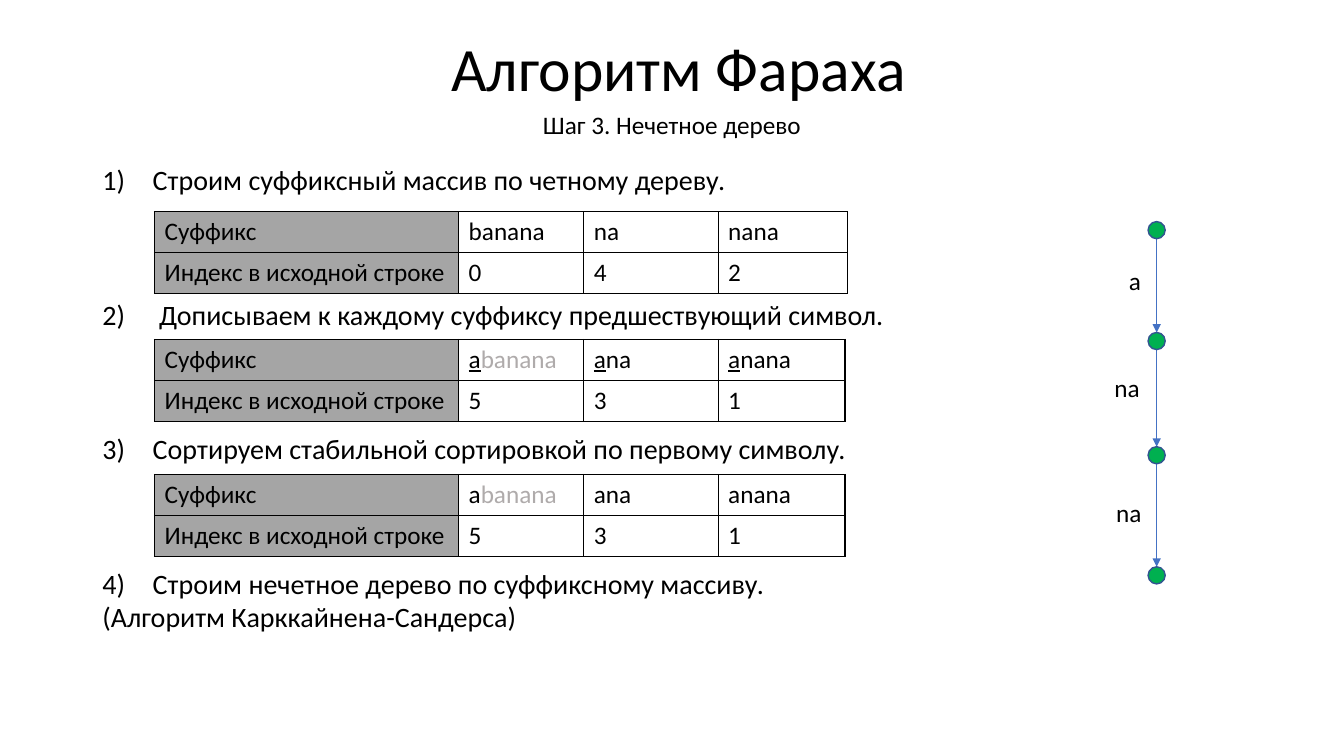
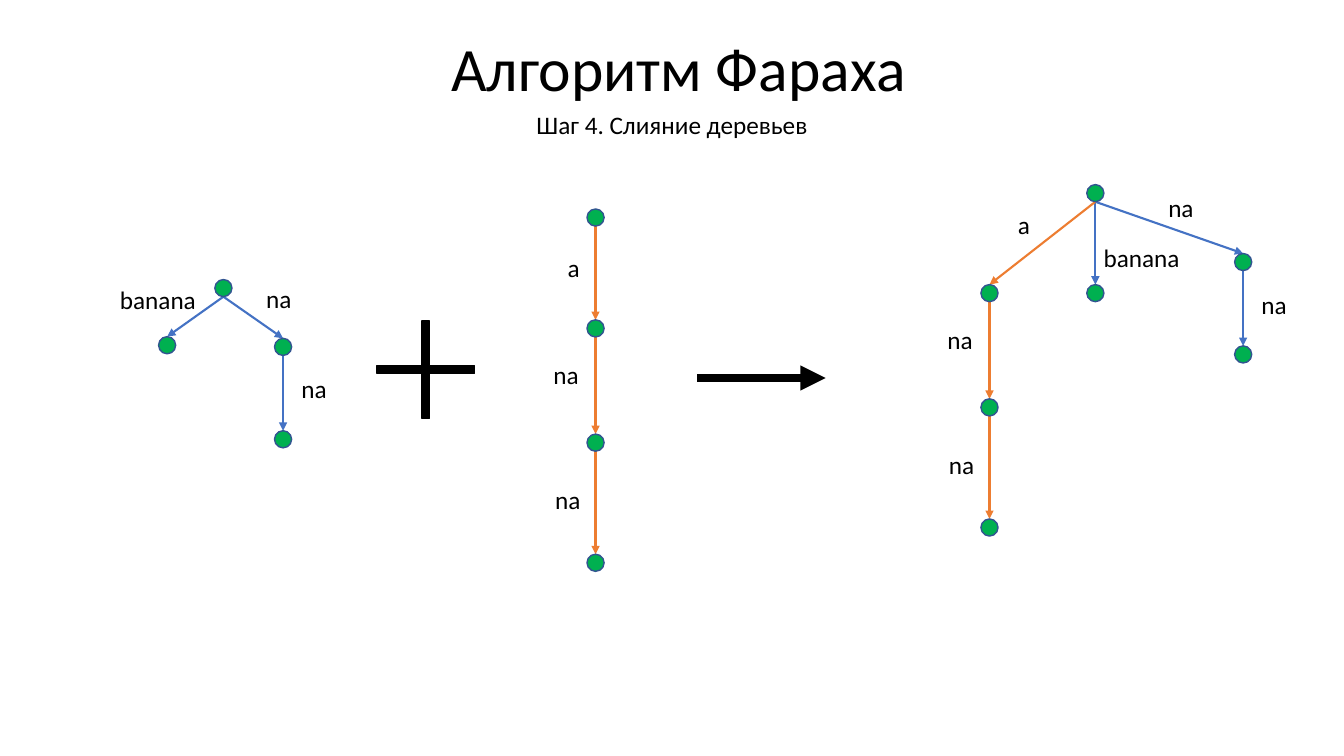
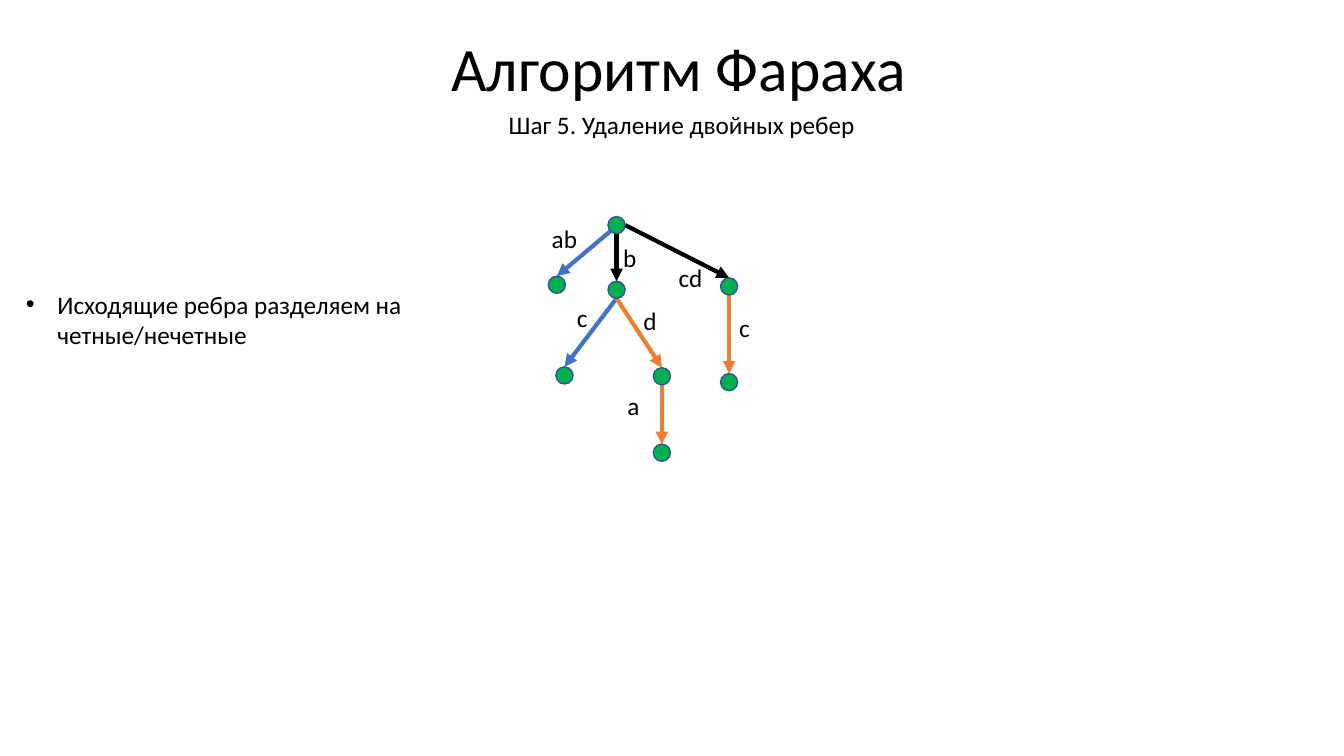
import dataclasses

import lxml.etree
import pptx
import pptx.dml.color
import pptx.enum.shapes
import pptx.enum.text
import pptx.oxml.ns
import pptx.util

RGBColor = pptx.dml.color.RGBColor
BLACK = RGBColor(0x00, 0x00, 0x00)
WHITE = RGBColor(0xFF, 0xFF, 0xFF)
HEADER_GREY = RGBColor(0xA5, 0xA5, 0xA5)
FADED_GREY = RGBColor(0xAF, 0xAB, 0xAB)
NODE_GREEN = RGBColor(0x00, 0xB0, 0x50)
NODE_OUTLINE = RGBColor(0x32, 0x54, 0x91)
EVEN_BLUE = RGBColor(0x44, 0x72, 0xC4)
ODD_ORANGE = RGBColor(0xED, 0x7D, 0x31)

# Direction from a node's centre to the point where an edge leaves it
BOTTOM, RIGHT, LOWER_LEFT = (0, 1), (1, 0), (-0.7, 0.7)
LABEL_COLUMNS = {1: 3.5, 2: 6.7, 6: 11.5}


@dataclasses.dataclass
class Run:
    """A stretch of text with one look."""
    text: str
    colour: RGBColor = BLACK
    underline: bool = False


@dataclasses.dataclass
class Branch:
    """An edge of a suffix tree; the child is named by the letters read so far."""
    parent: str
    text: str
    step: tuple
    label_offset: tuple
    colour: RGBColor = EVEN_BLUE
    leaves: tuple = BOTTOM


class Deck:
    """The shared style and the current slide, on a grid of 160 by 90 squares."""

    TITLE = " Алгоритм Фараха"
    FONT = "Calibri"
    COLUMNS, ROWS = 160, 90
    NODE = 2.04

    def __init__(self):
        """Start an empty wide presentation."""
        self.presentation = pptx.Presentation()
        self.presentation.slide_width = pptx.util.Inches(13.33)
        self.presentation.slide_height = pptx.util.Inches(7.5)
        self.slide = None

    def x(self, columns):
        """Turn grid columns into a length."""
        return round(self.presentation.slide_width * columns / self.COLUMNS)

    def y(self, rows):
        """Turn grid rows into a length."""
        return round(self.presentation.slide_height * rows / self.ROWS)

    def box(self, column, row, width, height):
        """Turn a grid rectangle into left, top, width and height."""
        return self.x(column), self.y(row), self.x(width), self.y(height)

    def add_runs(self, paragraph, runs, size=18):
        """Add runs to a paragraph."""
        for part in runs:
            run = paragraph.add_run()
            run.text = part.text
            run.font.name = self.FONT
            run.font.size = pptx.util.Pt(size)
            run.font.color.rgb = part.colour
            run.font.underline = part.underline

    def start_slide(self, subtitle, column=58.5, width=43):
        """Open a slide with the shared title and its own subtitle."""
        self.slide = self.presentation.slides.add_slide(
            self.presentation.slide_layouts.get_by_name("Title Only"))
        title = self.slide.shapes.title
        title.left, title.top, title.width, title.height = self.box(11, -0.2, 138, 17.4)
        title.text_frame.auto_size = pptx.enum.text.MSO_AUTO_SIZE.NONE
        title.text_frame.vertical_anchor = pptx.enum.text.MSO_ANCHOR.MIDDLE
        heading = title.text_frame.paragraphs[0]
        heading.alignment = pptx.enum.text.PP_ALIGN.CENTER
        heading.line_spacing = 0.9
        self.add_runs(heading, [Run(self.TITLE)], 44)
        step = self.text(column, 12.4, width, 4.8, subtitle)
        step.alignment = pptx.enum.text.PP_ALIGN.CENTER

    def frame(self, column, row, width, height):
        """Add a wrapping text box and return its text frame."""
        frame = self.slide.shapes.add_textbox(
            *self.box(column, row, width, height)).text_frame
        frame.word_wrap = True
        frame.auto_size = pptx.enum.text.MSO_AUTO_SIZE.SHAPE_TO_FIT_TEXT
        return frame

    def text(self, column, row, width, height, words):
        """Add one paragraph of text and return it."""
        paragraph = self.frame(column, row, width, height).paragraphs[0]
        self.add_runs(paragraph, [Run(words)])
        return paragraph

    def mark(self, paragraph, indent, tag, **attributes):
        """Give a paragraph a hanging bullet or number."""
        properties = paragraph._p.get_or_add_pPr()
        hanging = self.x(indent)
        properties.set("marL", str(hanging))
        properties.set("indent", str(-hanging))
        lxml.etree.SubElement(
            properties, pptx.oxml.ns.qn("a:buFont"),
            typeface="Arial" if tag == "a:buChar" else self.FONT)
        lxml.etree.SubElement(properties, pptx.oxml.ns.qn(tag), **attributes)

    def steps(self, column, row, width, height, items, closing):
        """Add numbered steps with room for a table between them, then a closing line."""
        frame = self.frame(column, row, width, height)
        for index, item in enumerate(items):
            paragraph = frame.add_paragraph() if index else frame.paragraphs[0]
            paragraph.space_before = pptx.util.Pt(72 if index else 0)
            self.add_runs(paragraph, [Run(item)], 20)
            self.mark(paragraph, 6, "a:buAutoNum", type="arabicParenR")
        self.add_runs(frame.add_paragraph(), [Run(closing)], 20)

    def suffix_table(self, row, suffixes, indexes, last_column=15.1):
        """Add a table of suffixes over their indexes."""
        widths = [36.2, 14.9, 16, last_column]
        lines = [[[Run("Суффикс")], *suffixes],
                 [[Run("Индекс в исходной строке")], *([Run(index)] for index in indexes)]]
        height = 4.87
        table = self.slide.shapes.add_table(
            len(lines), len(widths),
            *self.box(18.4, row, sum(widths), height * len(lines))).table
        table.first_row = table.horz_banding = False
        for column, width in zip(table.columns, widths):
            column.width = self.x(width)
        for line, cells in enumerate(lines):
            table.rows[line].height = self.y(height)
            for position, runs in enumerate(cells):
                cell = table.cell(line, position)
                self.add_runs(cell.text_frame.paragraphs[0], runs)
                self.border(cell)
                cell.fill.solid()
                cell.fill.fore_color.rgb = WHITE if position else HEADER_GREY

    def border(self, cell):
        """Draw a thin black border round a table cell."""
        properties = cell._tc.get_or_add_tcPr()
        for side in ("a:lnL", "a:lnR", "a:lnT", "a:lnB"):
            edge = lxml.etree.SubElement(
                properties, pptx.oxml.ns.qn(side), w=str(int(pptx.util.Pt(1))))
            fill = lxml.etree.SubElement(edge, pptx.oxml.ns.qn("a:solidFill"))
            lxml.etree.SubElement(fill, pptx.oxml.ns.qn("a:srgbClr"), val=str(BLACK))

    def shape(self, preset, column, row, size, fill, outline):
        """Add a square preset shape and return it."""
        shape = self.slide.shapes.add_shape(preset, *self.box(column, row, size, size))
        shape.shadow.inherit = False
        shape.fill.solid()
        shape.fill.fore_color.rgb = fill
        shape.line.color.rgb = outline
        shape.line.width = pptx.util.Pt(1)
        return shape

    def arrow(self, start, end, colour, weight):
        """Add a straight arrow between two grid points."""
        arrow = self.slide.shapes.add_connector(
            pptx.enum.shapes.MSO_CONNECTOR.STRAIGHT,
            self.x(start[0]), self.y(start[1]), self.x(end[0]), self.y(end[1]))
        arrow.line.color.rgb = colour
        arrow.line.width = pptx.util.Pt(weight)
        properties = arrow._element.spPr
        lxml.etree.SubElement(
            properties.find(pptx.oxml.ns.qn("a:ln")),
            pptx.oxml.ns.qn("a:tailEnd"), type="triangle")
        lxml.etree.SubElement(properties, pptx.oxml.ns.qn("a:effectLst"))

    def tree(self, column, row, branches, weight=1.5, label_columns=None):
        """Draw a suffix tree from its root down; parents come before children."""
        nodes = {"": (column, row)}
        radius = self.NODE / 2
        for branch in branches:
            across, down = nodes[branch.parent]
            child = across + branch.step[0], down + branch.step[1]
            nodes[branch.parent + branch.text] = child
            start = across + radius * branch.leaves[0], down + radius * branch.leaves[1]
            self.arrow(start, (child[0], child[1] - radius), branch.colour, weight)
            self.text(across + branch.label_offset[0], down + branch.label_offset[1],
                      label_columns or LABEL_COLUMNS[len(branch.text)], 4.8, branch.text)
        for across, down in nodes.values():
            self.shape(pptx.enum.shapes.MSO_SHAPE.OVAL, across - radius, down - radius,
                       self.NODE, NODE_GREEN, NODE_OUTLINE)


def odd_branches(colour):
    """Return the chain of branches of the odd tree."""
    return [Branch("", "a", (0, 13.2), (-4.5, 3.6), colour),
            Branch("a", "na", (0, 13.6), (-6.2, 3.1), colour),
            Branch("ana", "na", (0, 14.3), (-6, 4.4), colour)]


def odd_tree_slide(deck):
    """Step 3: the odd tree from the suffix array."""
    deck.start_slide("Шаг 3. Нечетное дерево")
    deck.steps(11, 18.8, 97.7, 61.8, [
        "Строим суффиксный массив по четному дереву.",
        " Дописываем к каждому суффиксу предшествующий символ.",
        "Сортируем стабильной сортировкой по первому символу.",
        "Строим нечетное дерево по суффиксному массиву. ",
    ], "(Алгоритм Карккайнена-Сандерса)")
    deck.suffix_table(25.2, [[Run("banana")], [Run("na")], [Run("nana")]], "042", 15.4)
    added = Run("a", underline=True)
    faded = Run("banana", FADED_GREY)
    deck.suffix_table(
        40.4, [[added, faded], [added, Run("na")], [added, Run("nana")]], "531")
    deck.suffix_table(56.5, [[Run("a"), faded], [Run("ana")], [Run("anana")]], "531")
    deck.tree(137.7, 27.4, odd_branches(EVEN_BLUE), 0.5)


def merge_slide(deck):
    """Step 4: the even and odd trees merge."""
    deck.start_slide("Шаг 4. Слияние деревьев")
    odd = odd_branches(ODD_ORANGE)
    even_tail = Branch("na", "na", (0, 11), (1, 2.6))
    deck.tree(26.6, 34.3, [
        Branch("", "banana", (-6.7, 6.8), (-13.5, -1)),
        Branch("", "na", (7.1, 7), (3.9, -1.1)),
        even_tail,
    ])
    deck.tree(70.9, 25.9, odd)
    plus = deck.shape(pptx.enum.shapes.MSO_SHAPE.CROSS, 44.9, 38.2, 11.6, BLACK, BLACK)
    plus.adjustments[0] = 0.46
    deck.arrow((83, 45), (98.3, 45), BLACK, 6)
    deck.tree(130.4, 23, [
        Branch("", "banana", (0, 11.9), (-0.2, 5.2)),
        Branch("", "na", (17.6, 8.2), (7.5, -0.7)),
        even_tail,
        Branch("", "a", (-12.6, 11.9), (-10.4, 1.3), ODD_ORANGE),
        *odd[1:],
    ])


def double_edges_slide(deck):
    """Step 5: double edges are removed."""
    deck.start_slide("Шаг 5. Удаление двойных ребер", 57.5, 47.3)
    deck.tree(73.4, 26.8, [
        Branch("", "ab", (-7.1, 7.1), (-8.9, -0.8), EVEN_BLUE, LOWER_LEFT),
        Branch("", "b", (0, 7.7), (-0.4, 1.4), BLACK),
        Branch("", "cd", (13.4, 7.3), (6.2, 3.9), BLACK, RIGHT),
        Branch("b", "c", (-6.2, 10.2), (-5.9, 0.9)),
        Branch("b", "d", (5.4, 10.3), (2, 1.3), ODD_ORANGE),
        Branch("bd", "a", (0, 9.1), (-5.3, 1.1), ODD_ORANGE),
        Branch("cd", "c", (0, 11.4), (0, 2.5), ODD_ORANGE),
    ], 3, 5.8)
    note = deck.text(1.9, 33.8, 52, 8.5, "Исходящие ребра разделяем на четные/нечетные")
    deck.mark(note, 3.75, "a:buChar", char="•")


def main():
    """Build the slides and save them."""
    deck = Deck()
    odd_tree_slide(deck)
    merge_slide(deck)
    double_edges_slide(deck)
    deck.presentation.save("out.pptx")


main()
